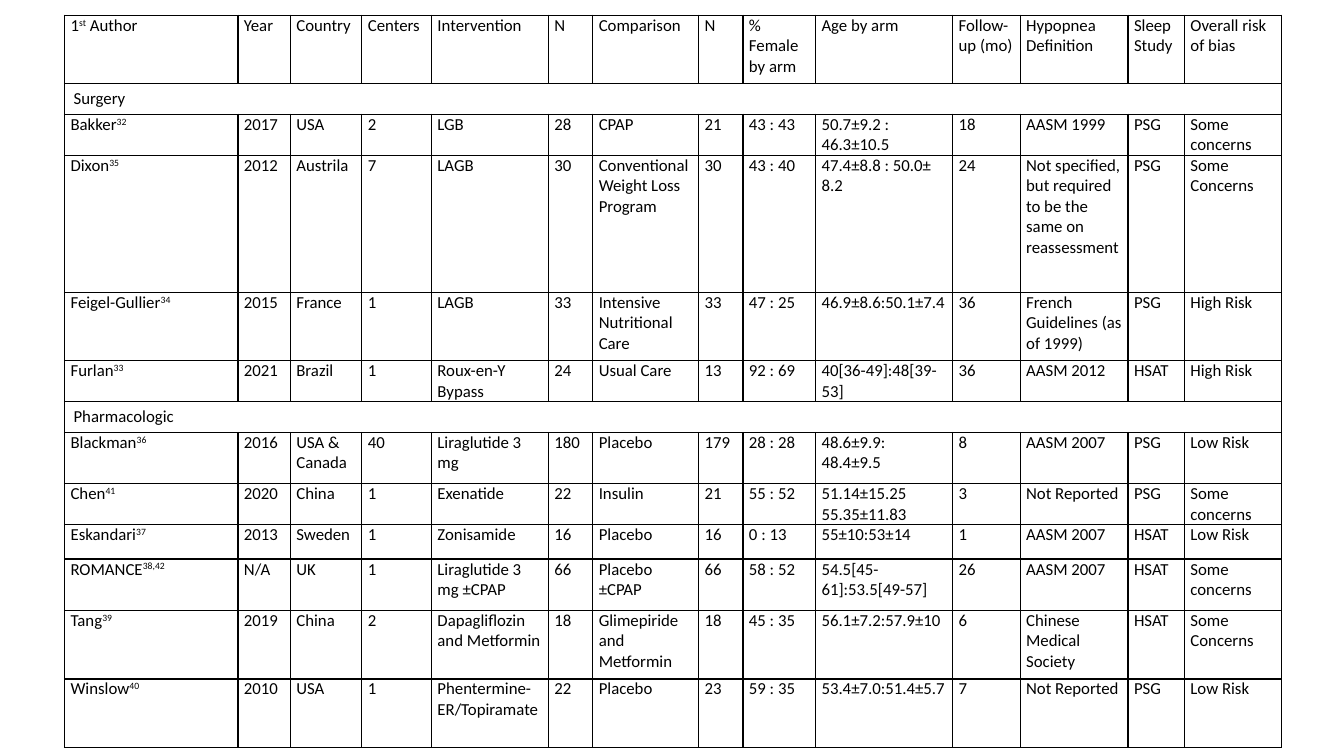
from lxml import etree
from pptx import Presentation
from pptx.dml.color import RGBColor
from pptx.enum.text import MSO_ANCHOR
from pptx.oxml.ns import qn
from pptx.util import Inches, Pt

TOP = MSO_ANCHOR.TOP
BLACK = RGBColor(0x00, 0x00, 0x00)
WHITE = RGBColor(0xFF, 0xFF, 0xFF)

COLUMN_WIDTHS = [1.72, 0.52, 0.71, 0.69, 1.16, 0.44, 1.05, 0.44, 0.72, 1.36, 0.67, 1.07, 0.56, 0.96]
ROW_HEIGHTS = [0.68, 0.25, 0.34, 1.36, 0.68, 0.34, 0.25, 0.51, 0.34, 0.34, 0.51, 0.68, 0.68]
STUDY_MARGINS = (0.06, 0)
SECTION_MARGINS = (0.09, 0.05)

# Text between carets is superscript; a row with a single entry is a section heading
ROWS = [
    ("1^st^ Author", "Year", "Country", "Centers", "Intervention", "N", "Comparison", "N",
     "% Female by arm", "Age by arm", "Follow-up (mo)", "Hypopnea Definition", "Sleep Study",
     "Overall risk of bias"),
    ("Surgery",),
    ("Bakker^32^", "2017", "USA", "2", "LGB", "28", "CPAP", "21", "43 : 43",
     "50.7±9.2 : 46.3±10.5", "18", "AASM 1999", "PSG", "Some concerns"),
    ("Dixon^35^", "2012", "Austrila", "7", "LAGB", "30", "Conventional Weight Loss Program", "30",
     "43 : 40", "47.4±8.8 : 50.0± 8.2", "24",
     "Not specified, but required to be the same on reassessment", "PSG", "Some Concerns"),
    ("Feigel-Gullier^34^", "2015", "France", "1", "LAGB", "33", "Intensive Nutritional Care", "33",
     "47 : 25", "46.9±8.6:50.1±7.4", "36", "French Guidelines (as of 1999)", "PSG", "High Risk"),
    ("Furlan^33^", "2021", "Brazil", "1", "Roux-en-Y Bypass", "24", "Usual Care", "13", "92 : 69",
     "40[36-49]:48[39-53]", "36", "AASM 2012", "HSAT", "High Risk"),
    ("Pharmacologic",),
    ("Blackman^36^", "2016", "USA & Canada", "40", "Liraglutide 3 mg", "180", "Placebo", "179",
     "28 : 28", "48.6±9.9: 48.4±9.5", "8", "AASM 2007", "PSG", "Low Risk"),
    ("Chen^41^", "2020", "China", "1", "Exenatide", "22", "Insulin", "21", "55 : 52",
     "51.14±15.25\n55.35±11.83", "3", "Not Reported", "PSG", "Some concerns"),
    ("Eskandari^37^", "2013", "Sweden", "1", "Zonisamide", "16", "Placebo", "16", "0 : 13",
     "55±10:53±14", "1", "AASM 2007", "HSAT", "Low Risk"),
    ("ROMANCE^38,42^", "N/A", "UK", "1", "Liraglutide 3 mg ±CPAP", "66", "Placebo ±CPAP", "66",
     "58 : 52", "54.5[45-61]:53.5[49-57]", "26", "AASM 2007", "HSAT", "Some concerns"),
    ("Tang^39^", "2019", "China", "2", "Dapagliflozin and Metformin", "18",
     "Glimepiride and Metformin", "18", "45 : 35", "56.1±7.2:57.9±10", "6",
     "Chinese Medical Society", "HSAT", "Some Concerns"),
    ("Winslow^40^", "2010", "USA", "1", "Phentermine-ER/Topiramate", "22", "Placebo", "23",
     "59 : 35", "53.4±7.0:51.4±5.7", "7", "Not Reported", "PSG", "Low Risk"),
]


def write_text(text_frame, text, font="Calibri", size=12, color=BLACK):
    """Write one paragraph per line, raising the parts between carets."""
    for line_number, line in enumerate(text.split("\n")):
        paragraph = text_frame.add_paragraph() if line_number else text_frame.paragraphs[0]
        for part_number, part in enumerate(line.split("^")):
            if not part:
                continue
            run = paragraph.add_run()
            run.text = part
            run.font.name = font
            run.font.size = Pt(size)
            run.font.color.rgb = color
            if part_number % 2:
                run.font._element.set("baseline", "30000")


class SlideBuilder:
    def __init__(self, slide, border_color=BLACK, border_width=1):
        self.slide = slide
        self.border_color = border_color
        self.border_width = border_width

    def background(self, color):
        fill = self.slide.background.fill
        fill.solid()
        fill.fore_color.rgb = color

    def cell_style(self, cell, margins):
        properties = cell._tc.get_or_add_tcPr()
        for side in ("lnL", "lnR", "lnT", "lnB"):
            line = etree.SubElement(properties, qn("a:" + side), w=str(Pt(self.border_width)))
            fill = etree.SubElement(line, qn("a:solidFill"))
            etree.SubElement(fill, qn("a:srgbClr"), val=str(self.border_color))
        cell.fill.background()
        horizontal, vertical = margins
        cell.margin_left = cell.margin_right = Inches(horizontal)
        cell.margin_top = cell.margin_bottom = Inches(vertical)
        cell.vertical_anchor = TOP

    def table(self, left, top, width, height, rows, column_widths, row_heights):
        frame = self.slide.shapes.add_table(
            len(rows), len(column_widths),
            Inches(left), Inches(top), Inches(width), Inches(height))
        table = frame.table
        table.first_row = table.horz_banding = False
        for column, column_width in zip(table.columns, column_widths):
            column.width = Inches(column_width)
        for row, row_height in zip(table.rows, row_heights):
            row.height = Inches(row_height)
        frame.width, frame.height = Inches(width), Inches(height)

        for row_number, (row, texts) in enumerate(zip(table.rows, rows)):
            is_section = len(texts) == 1
            for cell in row.cells:
                self.cell_style(cell, SECTION_MARGINS if is_section else STUDY_MARGINS)
            if is_section:
                table.cell(row_number, 0).merge(table.cell(row_number, len(column_widths) - 1))
            for cell, text in zip(row.cells, texts):
                write_text(cell.text_frame, text)


def main():
    presentation = Presentation()
    presentation.slide_width = Inches(13.33)
    presentation.slide_height = Inches(7.5)
    builder = SlideBuilder(presentation.slides.add_slide(presentation.slide_layouts[6]))
    builder.background(WHITE)

    # Table of included studies
    builder.table(0.64, 0.15, 12.06, 7.2, ROWS, COLUMN_WIDTHS, ROW_HEIGHTS)

    presentation.save("out.pptx")


if __name__ == "__main__":
    main()
